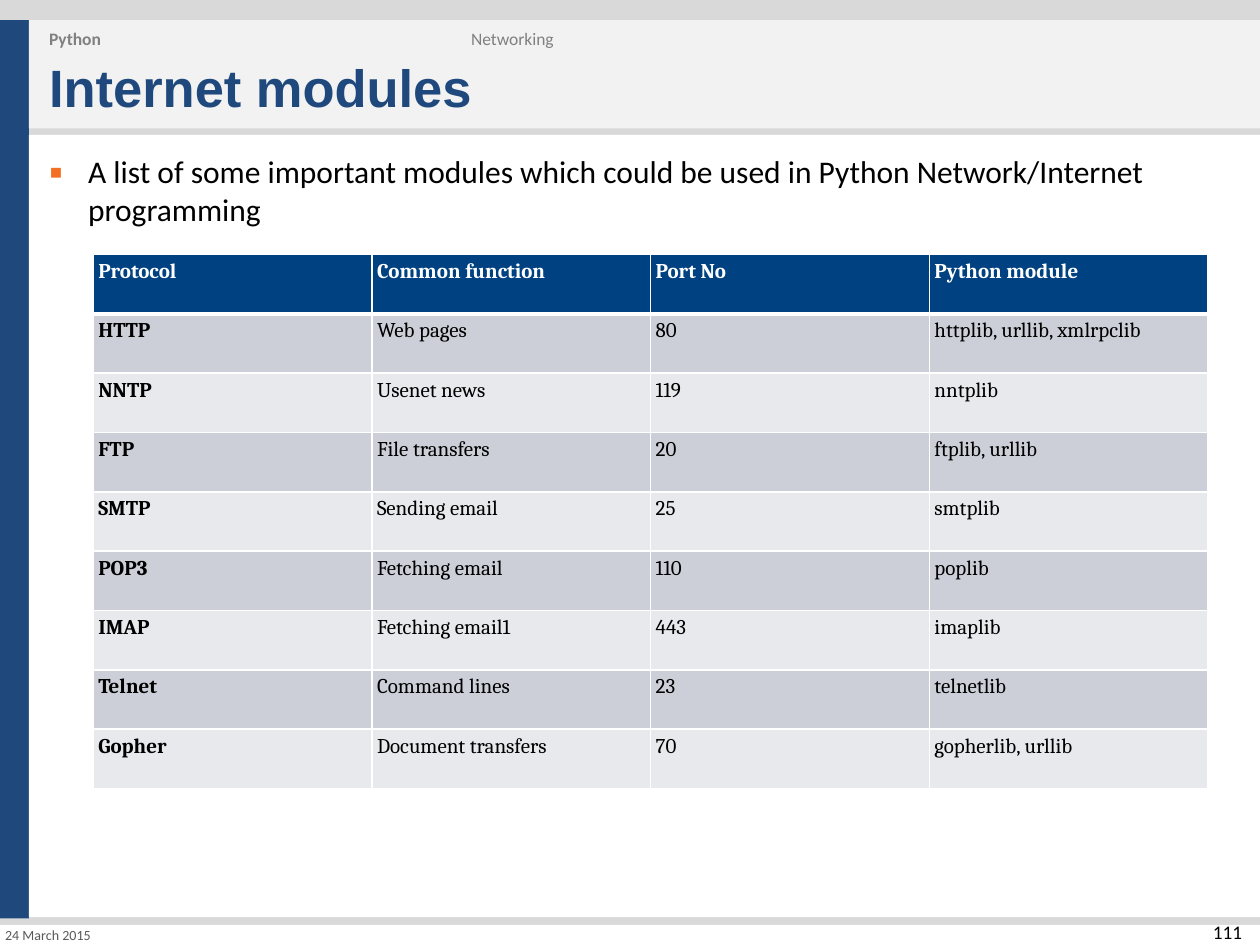
from dataclasses import dataclass
from lxml.etree import SubElement as Sub
from pptx import Presentation
from pptx.dml.color import RGBColor as Rgb
from pptx.enum.shapes import MSO_SHAPE as Shape
from pptx.enum.text import MSO_ANCHOR as Anchor, MSO_AUTO_SIZE as Fit, PP_ALIGN as Align
from pptx.oxml.ns import qn
from pptx.util import Inches, Pt


@dataclass(frozen=True)
class Theme:
    back: str = "D9D9D9"
    pale: str = "F2F2F2"
    white: str = "FFFFFF"
    black: str = "000000"
    navy: str = "1F497D"
    mark: str = "F36F23"
    gray: str = "808080"
    date: str = "595959"
    head: str = "004281"
    odd: str = "CCCFD8"
    even: str = "E7E9ED"
    sans: str = "Calibri"
    serif: str = "Cambria"
    bold: str = "Arial"
    title: int = 30
    body: int = 18
    cell: int = 12
    page: int = 11
    crumb: int = 10
    small: int = 8


LOOK = Theme()
ROWS = [
    ("Protocol", "Common function", "Port No", "Python module"),
    ("HTTP", "Web pages", "80", "httplib, urllib, xmlrpclib"),
    ("NNTP", "Usenet news", "119", "nntplib"),
    ("FTP", "File transfers", "20", "ftplib, urllib"),
    ("SMTP", "Sending email", "25", "smtplib"),
    ("POP3", "Fetching email", "110", "poplib"),
    ("IMAP", "Fetching email1", "443", "imaplib"),
    ("Telnet", "Command lines", "23", "telnetlib"),
    ("Gopher", "Document transfers", "70", "gopherlib, urllib"),
]


def put(frame, text, size=LOOK.body, font=LOOK.sans, color=LOOK.black,
        bold=False, align=Align.LEFT, anchor=Anchor.TOP, inset=0.08, after=0):
    frame.word_wrap = True
    frame.vertical_anchor = anchor
    frame.margin_left = frame.margin_right = Inches(inset)
    frame.margin_top = frame.margin_bottom = Inches(inset)
    para = frame.paragraphs[0]
    para.alignment = align
    para.space_before, para.space_after = Pt(0), Pt(after)
    run = para.add_run()
    run.text = text
    run.font.size, run.font.name, run.font.bold = Pt(size), font, bold
    run.font.color.rgb = Rgb.from_string(color)
    return para


def place(shape, box):
    shape.left, shape.top, shape.width, shape.height = map(Inches, box)
    shape.text_frame.auto_size = Fit.NONE
    shape.element.getparent().append(shape.element)
    return shape.text_frame


def label(slide, box, text, **form):
    put(slide.shapes.add_textbox(*map(Inches, box)).text_frame, text, **form)


def band(slide, box, color):
    shape = slide.shapes.add_shape(Shape.RECTANGLE, *map(Inches, box))
    shape.shadow.inherit = False
    shape.fill.solid()
    shape.fill.fore_color.rgb = Rgb.from_string(color)
    shape.line.fill.background()


def frame(slide, box):
    x, y, w, h = box
    fill = slide.background.fill
    fill.solid()
    fill.fore_color.rgb = Rgb.from_string(LOOK.back)
    side, top = 0.23, 0.16
    band(slide, (x, y + top, side, 7.13), LOOK.navy)
    band(slide, (x + side, y + top, w - side, 0.86), LOOK.pale)
    band(slide, (x + side, y + 1.07, w - side, 6.21), LOOK.white)
    band(slide, (x, y + h - top, w, top), LOOK.white)


def header(slide, box):
    x, y, w, h = box
    form = dict(size=LOOK.crumb, color=LOOK.gray, anchor=Anchor.MIDDLE, after=6)
    label(slide, (x, y, 3.38, 0.33), "Python", bold=True, **form)
    label(slide, (x + 3.35, y, 4.07, 0.33), "Networking", **form)
    title = place(slide.shapes.title, (x, y + 0.22, w, h - 0.22))
    put(title, "Internet modules", size=LOOK.title, font=LOOK.bold,
        color=LOOK.navy, bold=True, anchor=Anchor.BOTTOM)


def intro(slide, box):
    text = "A list of some important modules which could be used in Python Network/Internet programming"
    para = put(place(slide.placeholders[1], box), text, after=6)
    props = para._p.get_or_add_pPr()
    props.set("marL", str(Inches(0.31)))
    props.set("indent", str(Inches(-0.31)))
    Sub(Sub(props, qn("a:buClr")), qn("a:srgbClr"), val=LOOK.mark)
    Sub(props, qn("a:buSzPct"), val="125000")
    Sub(props, qn("a:buFont"), typeface=LOOK.bold)
    Sub(props, qn("a:buChar"), char="▪")


def edge(cell, **sides):
    props = cell._tc.get_or_add_tcPr()
    for side in "LRTB":
        line = Sub(props, qn("a:ln" + side), w=str(Pt(sides.get(side, 1))))
        Sub(Sub(line, qn("a:solidFill")), qn("a:srgbClr"), val=LOOK.white)


def grid(slide, box):
    size = len(ROWS), len(ROWS[0])
    table = slide.shapes.add_table(*size, *map(Inches, box)).table
    table.horz_banding = False
    for r, row in enumerate(ROWS):
        tone = LOOK.head if r == 0 else LOOK.odd if r % 2 else LOOK.even
        sides = {0: {"B": 3}, 1: {"T": 3}}.get(r, {})
        for c, text in enumerate(row):
            cell = table.cell(r, c)
            edge(cell, **sides)
            cell.fill.solid()
            cell.fill.fore_color.rgb = Rgb.from_string(tone)
            cell.margin_left = cell.margin_right = Inches(0.04)
            cell.margin_top = cell.margin_bottom = Inches(0.04)
            put(cell.text_frame, text, size=LOOK.cell, font=LOOK.serif, inset=0.04,
                color=LOOK.black if r else LOOK.white, bold=r == 0 or c == 0)


def footer(slide, box):
    x, y, w, h = box
    label(slide, (x, y + 0.04, 1.25, h), "24 March 2015", size=LOOK.small,
          color=LOOK.date, anchor=Anchor.MIDDLE, inset=0.04)
    label(slide, (x + w - 0.94, y, 0.8, 0.28), "111", size=LOOK.page,
          align=Align.RIGHT, inset=0)


def main():
    deck = Presentation()
    deck.slide_width, deck.slide_height = Inches(10), Inches(7.5)
    slide = deck.slides.add_slide(deck.slide_layouts[1])
    frame(slide, (0, 0, 10, 7.5))
    header(slide, (0.31, 0.14, 9.54, 0.88))
    intro(slide, (0.31, 1.13, 9.52, 1.93))
    grid(slide, (0.74, 2.02, 8.85, 4.24))
    footer(slide, (0, 7.3, 10, 0.16))
    deck.save("out.pptx")


if __name__ == "__main__":
    main()
